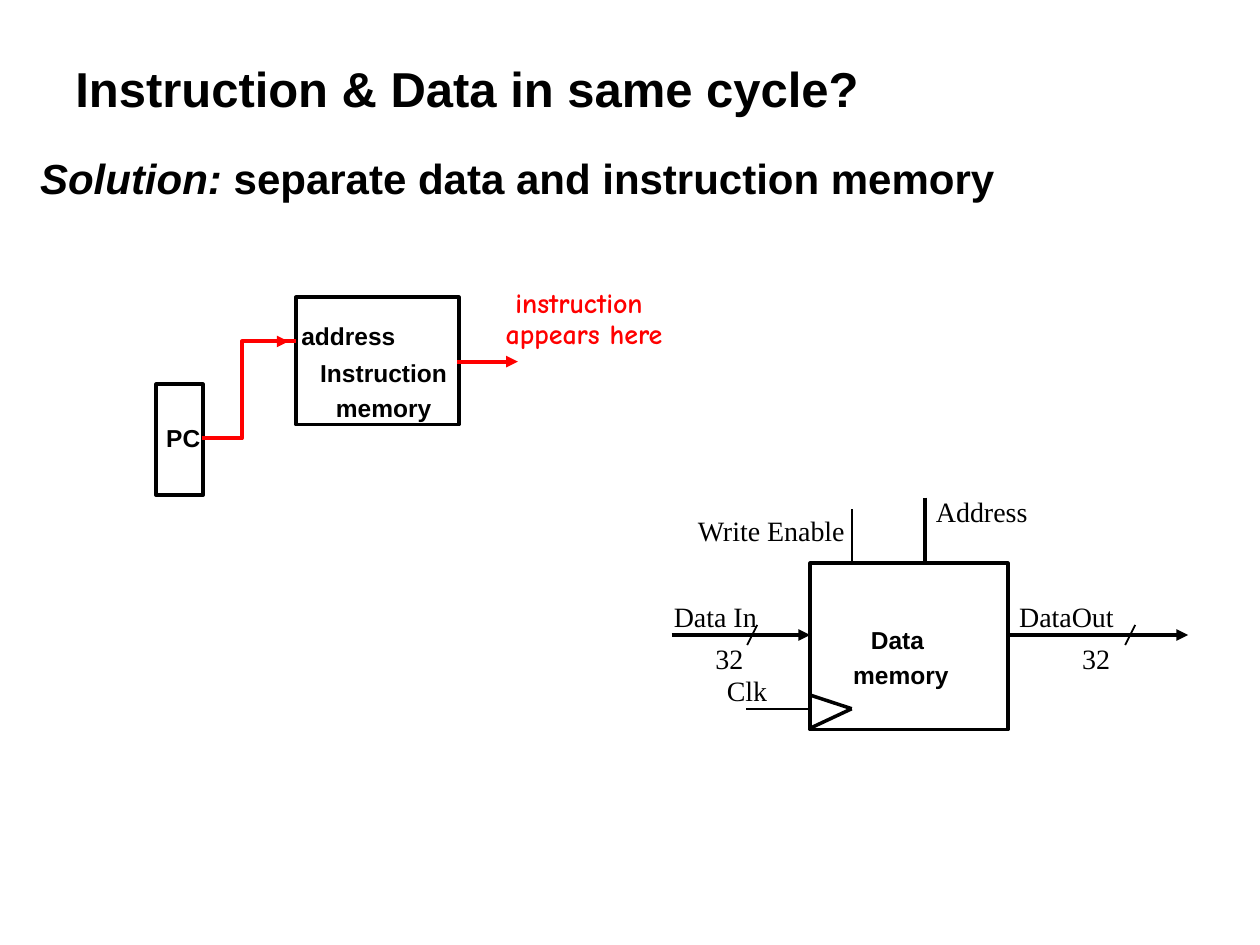
from typing import NamedTuple

from lxml.etree import SubElement
from pptx import Presentation
from pptx.dml.color import RGBColor
from pptx.enum.shapes import MSO_CONNECTOR, MSO_SHAPE
from pptx.enum.text import MSO_ANCHOR, PP_ALIGN
from pptx.oxml.ns import qn
from pptx.util import Inches, Pt

COLORS = {"ink": "000000", "signal": "FF0000"}
COLUMNS, ROWS = 100, 75  # slide grid
CELL = Inches(0.1)
THIN, MEDIUM, THICK = 1, 2, 2.25  # line widths in points


class Box(NamedTuple):
    column: float
    row: float
    columns: float
    rows: float


class Wire(NamedTuple):
    start: tuple[float, float]
    end: tuple[float, float]
    width: float = THIN
    arrow: bool = False
    color: str = "ink"


class Label(NamedTuple):
    text: str
    box: Box


def grid(cells: float) -> int:
    return round(cells * CELL)


def color_of(name: str) -> RGBColor:
    return RGBColor.from_string(COLORS[name])


def add_text(slide, box: Box, *lines, font="Arial", size=14, bold=True, color="ink",
             align=PP_ALIGN.LEFT, anchor=MSO_ANCHOR.TOP, wrap=False,
             before=0.0, spacing=1.0, indent=0.0):
    """Each line is a string or a list of (text, italic) runs."""
    shape = slide.shapes.add_textbox(*map(grid, box))
    frame = shape.text_frame
    frame.word_wrap = wrap
    frame.vertical_anchor = anchor
    for index, line in enumerate(lines):
        paragraph = frame.add_paragraph() if index else frame.paragraphs[0]
        paragraph.alignment = align
        paragraph.space_before = Pt(before)
        paragraph.line_spacing = spacing
        if indent:
            properties = paragraph._p.get_or_add_pPr()
            properties.set("marL", str(grid(indent)))
            properties.set("indent", str(-grid(indent)))
        for text, italic in [(line, False)] if isinstance(line, str) else line:
            run = paragraph.add_run()
            run.text = text
            run.font.name, run.font.size = font, Pt(size)
            run.font.bold, run.font.italic = bold, italic
            run.font.color.rgb = color_of(color)
    return shape


def style_outline(shape, width: float, color: str = "ink") -> None:
    shape.shadow.inherit = False
    shape.fill.background()
    shape.line.color.rgb = color_of(color)
    shape.line.width = Pt(width)


def add_block(slide, box: Box, width: float) -> None:
    shape = slide.shapes.add_shape(MSO_SHAPE.RECTANGLE, *map(grid, box))
    style_outline(shape, width)


def add_wire(slide, wire: Wire) -> None:
    connector = slide.shapes.add_connector(
        MSO_CONNECTOR.STRAIGHT, *map(grid, wire.start + wire.end))
    connector.line.color.rgb = color_of(wire.color)
    connector.line.width = Pt(wire.width)
    if wire.arrow:
        SubElement(connector.line._get_or_add_ln(), qn("a:tailEnd"), type="triangle")
    SubElement(connector._element.spPr, qn("a:effectLst"))


def add_path(slide, points: list[tuple[float, float]], width: float, color: str) -> None:
    corners = [(grid(x), grid(y)) for x, y in points]
    builder = slide.shapes.build_freeform(*corners[0])
    builder.add_line_segments(corners[1:], close=False)
    style_outline(builder.convert_to_shape(), width, color)


def draw_data_memory(slide) -> None:
    add_block(slide, Box(64.3, 44.7, 15.7, 13.2), MEDIUM)
    bus = 50.4  # row shared by data in and data out
    wires = [
        Wire((64.4, 55.2), (67.6, 56.25), MEDIUM),  # clock notch
        Wire((67.6, 56.25), (64.4, 57.75), MEDIUM),
        Wire((53.3, bus), (64.3, bus), THICK, arrow=True),
        Wire((80, bus), (94.3, bus), THICK, arrow=True),
        Wire((67.6, 44.6), (67.6, 40.4)),  # write enable
        Wire((64.3, 56.25), (59.2, 56.25)),  # clock
        Wire((73.4, 39.5), (73.4, 44.6), THICK),  # address
    ]
    # Bus width slashes
    wires += [Wire((x + 0.4, bus - 0.8), (x - 0.4, bus + 0.8)) for x in (59.7, 89.7)]
    for wire in wires:
        add_wire(slide, wire)

    labels = [
        Label("Clk", Box(56.7, 53, 5.2, 3.6)),
        Label("Data In", Box(52.5, 47.1, 8.6, 3.6)),
        Label("Write Enable", Box(54.4, 40.3, 13.7, 3.6)),
        Label("32", Box(55.8, bus, 4.2, 3.6)),
        Label("32", Box(84.9, bus, 4.2, 3.6)),
        Label("DataOut", Box(79.9, 47.1, 9.5, 3.6)),
        Label("Address", Box(73.3, 38.8, 10, 3.6)),
    ]
    for label in labels:
        add_text(slide, label.box, label.text, font="Times New Roman", size=16, bold=False)
    add_text(slide, Box(66.7, 49.1, 9.6, 6.2), "Data ", "memory",
             align=PP_ALIGN.CENTER, before=3.5)


def draw_instruction_memory(slide) -> None:
    add_block(slide, Box(12.4, 30.5, 3.7, 8.8), THICK)
    add_block(slide, Box(23.5, 23.6, 12.9, 10.1), THICK)
    for box, lines in [
        (Box(12.2, 33.1, 4.7, 3.4), ["PC"]),
        (Box(24.4, 27.9, 12.1, 6.2), ["Instruction", "memory"]),
        (Box(22.9, 25, 9.5, 3.4), ["address"]),
    ]:
        add_text(slide, box, *lines, align=PP_ALIGN.CENTER, before=3.5)
    add_text(slide, Box(39.1, 22.5, 14.5, 5.8), "instruction ", "appears here",
             font="Comic Neue", size=16, color="signal",
             align=PP_ALIGN.CENTER, spacing=0.9)

    # Path from PC to the address input, and the fetched instruction
    add_path(slide, [(16, 34.8), (19.2, 34.8), (19.2, 27.1), (23.5, 27.1)], THICK, "signal")
    add_wire(slide, Wire((36.3, 28.7), (41.1, 28.7), THICK, True, "signal"))
    add_wire(slide, Wire((19.4, 27.1), (22.9, 27.1), THICK, True, "signal"))


def main() -> None:
    presentation = Presentation()
    presentation.slide_width = grid(COLUMNS)
    presentation.slide_height = grid(ROWS)
    slide = presentation.slides.add_slide(presentation.slide_layouts[6])

    # Headings
    add_text(slide, Box(5, 1.7, 92.5, 10.6), "Instruction & Data in same cycle?",
             size=28, anchor=MSO_ANCHOR.MIDDLE, wrap=True)
    add_text(slide, Box(2.2, 12.2, 95.3, 56.1),
             [("Solution:", True), (" separate data and instruction memory", False)],
             size=24, wrap=True, before=6, spacing=0.85, indent=3.75)

    draw_data_memory(slide)
    draw_instruction_memory(slide)
    presentation.save("out.pptx")


if __name__ == "__main__":
    main()
